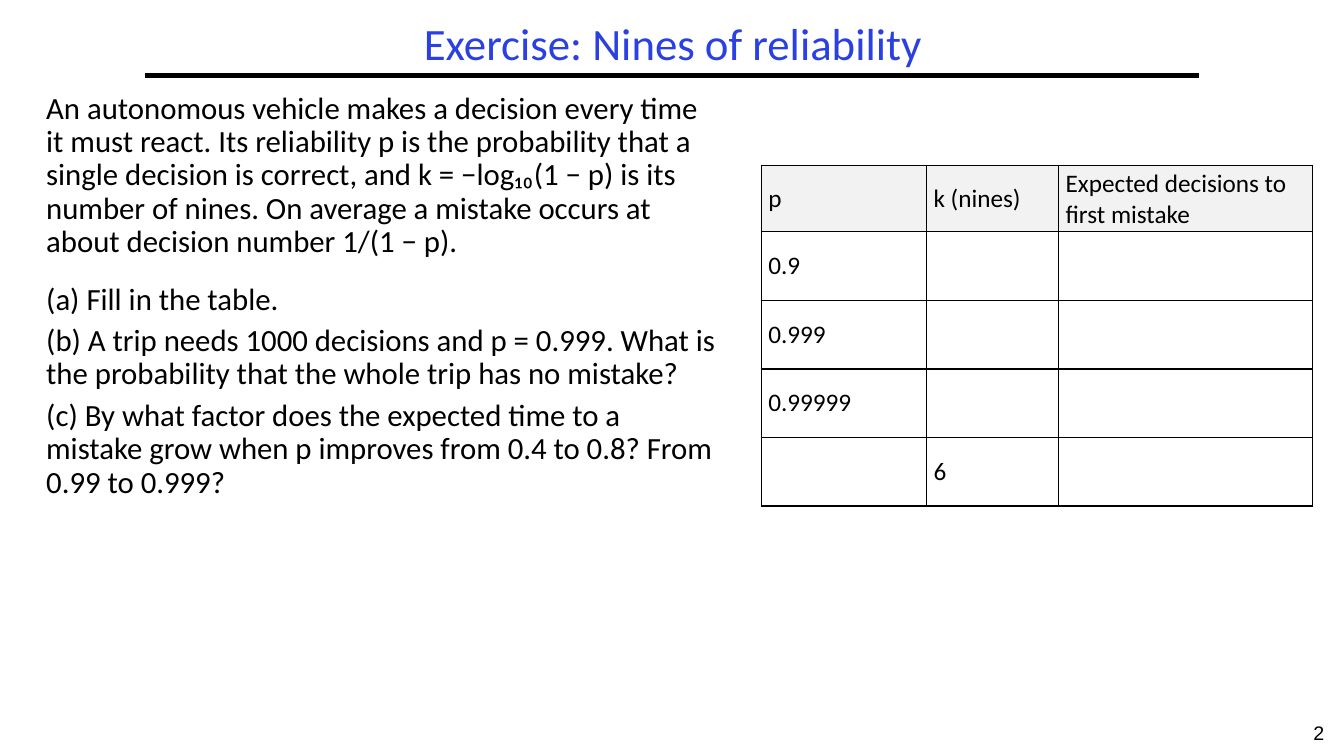
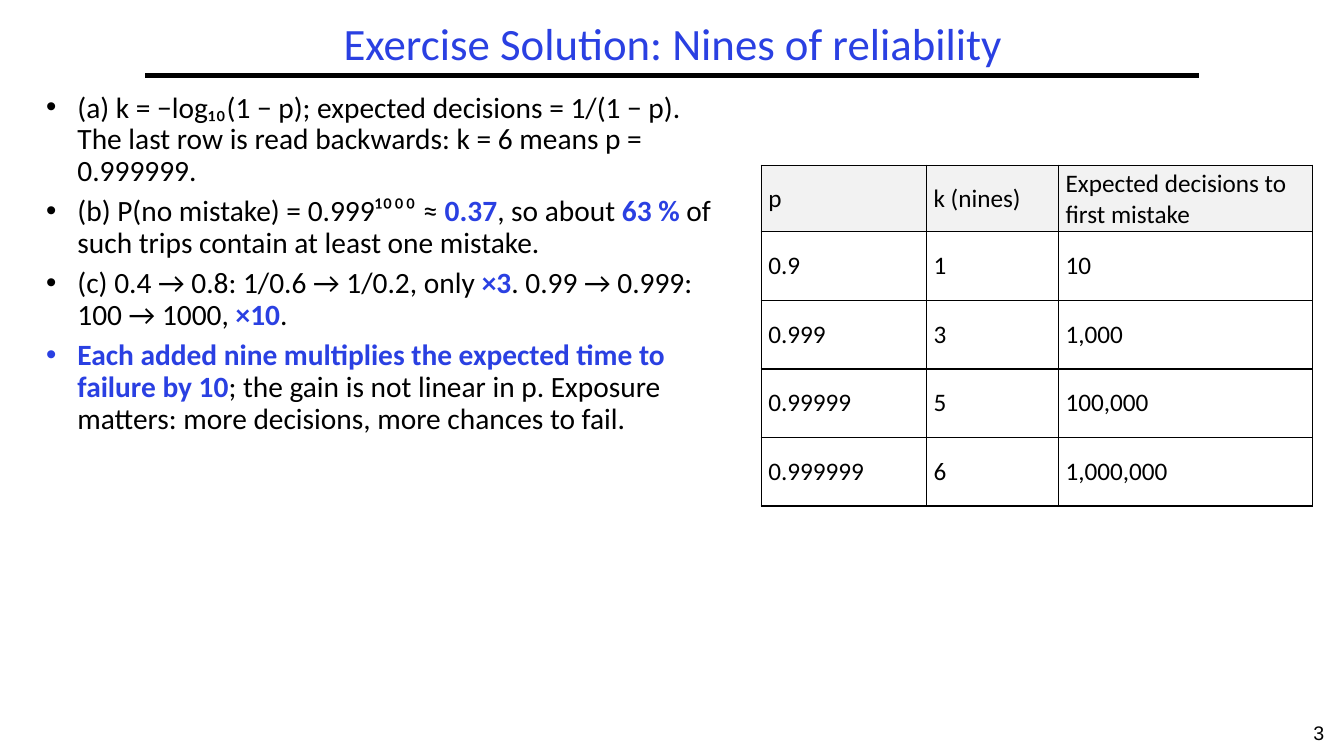
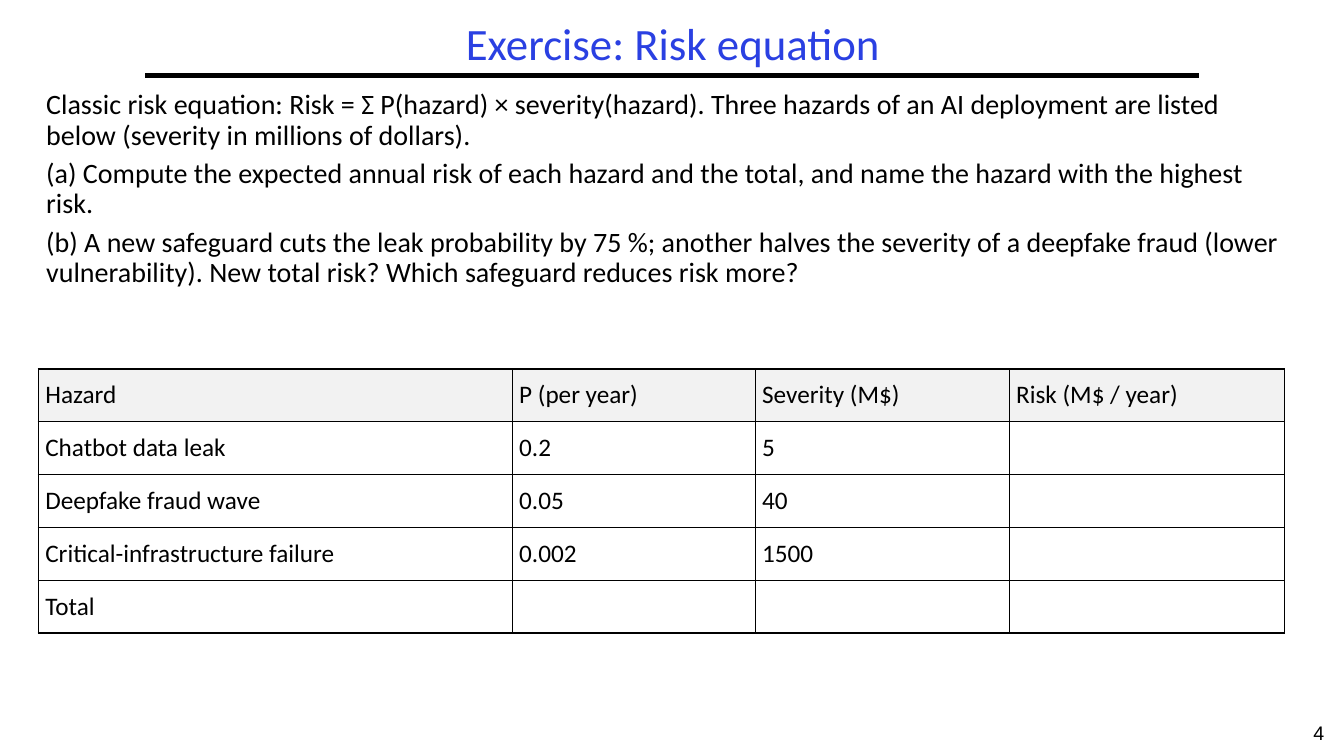
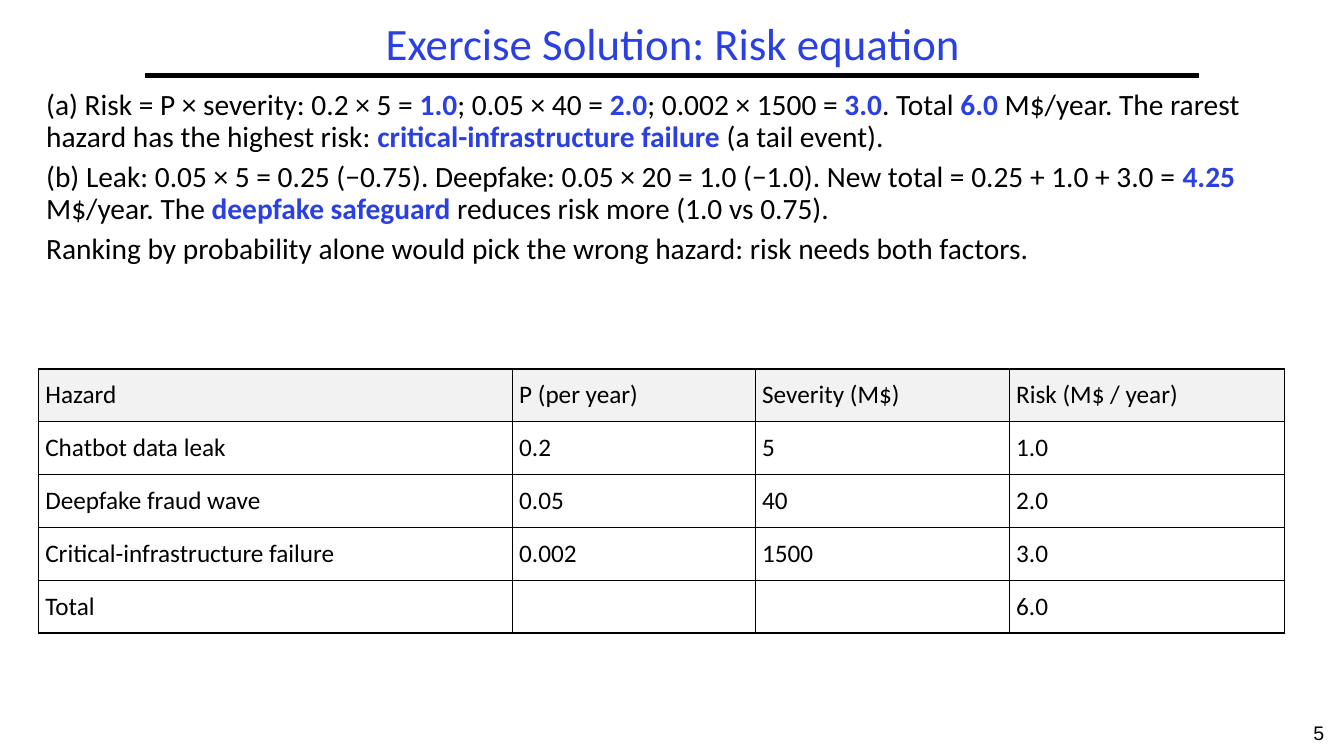
from lxml import etree
from pptx import Presentation
from pptx import util as u
from pptx.dml.color import RGBColor
from pptx.enum import shapes, text
from pptx.oxml import parse_xml
from pptx.oxml.ns import nsdecls, qn

BLACK = RGBColor(0x00, 0x00, 0x00)
BLUE = RGBColor(0x2A, 0x40, 0xE2)
GREY = RGBColor(0xF2, 0xF2, 0xF2)
SANS, HAND, PLAIN = "Calibri", "Comic Neue", "Arial"
MID = text.PP_ALIGN.CENTER


class Deck:
    """Style and current slide; lengths are percent of the slide's size."""

    def __init__(self, first):
        self.prs = Presentation()
        self.prs.slide_width = u.Inches(13.33)
        self.prs.slide_height = u.Inches(7.5)
        self.prs.element.set("firstSlideNum", str(first))
        self.num = first

    def x(self, share):
        return int(self.prs.slide_width * share / 100)

    def y(self, share):
        return int(self.prs.slide_height * share / 100)

    def box(self, left, top, wide, high):
        return self.x(left), self.y(top), self.x(wide), self.y(high)

    def style(self, para, face, size, color=BLACK, bold=False, align=None):
        font = para.font
        font.name, font.size, font.bold = face, u.Pt(size), bold
        font.color.rgb = color
        para.alignment = align

    def page(self, title):
        """Start a slide with its title, rule and number."""
        self.slide = self.prs.slides.add_slide(self.prs.slide_layouts[5])
        head = self.slide.shapes.title
        head.left, head.top, head.width, head.height = self.box(10.8, 2.27, 78.55, 7.73)
        frame = head.text_frame
        frame.text = title
        frame.auto_size = text.MSO_AUTO_SIZE.NONE
        frame.vertical_anchor = text.MSO_ANCHOR.MIDDLE
        para = frame.paragraphs[0]
        self.style(para, SANS, 32, BLUE, align=MID)
        para.line_spacing = 0.9
        self.rule()
        self.count()

    def rule(self):
        line = self.slide.shapes.add_connector(
            shapes.MSO_CONNECTOR.STRAIGHT,
            self.x(10.8), self.y(10), self.x(89.2), self.y(10))
        line.line.color.rgb = BLACK
        line.line.width = u.Pt(3)
        etree.SubElement(line.element.spPr, qn("a:effectLst"))

    def count(self):
        """Slide number as a live field."""
        note = self.slide.shapes.add_textbox(*self.box(96.25, 94.67, 3.75, 5.33))
        para = note.text_frame.paragraphs[0]
        self.style(para, PLAIN, 14, align=MID)
        para._p.append(parse_xml(
            f'<a:fld {nsdecls("a")} id="{{B6F15528-21DE-4FAA-801E-634DDDAF4B2B}}" '
            f'type="slidenum"><a:rPr lang="en-US" sz="1400"><a:latin typeface="{PLAIN}"/>'
            f'</a:rPr><a:t>{self.num}</a:t></a:fld>'))
        self.num += 1

    def body(self, area, size, paras, dots=False, gaps=None):
        """Paragraphs; *stars* mark key words, gaps overrides space before."""
        frame = self.slide.shapes.add_textbox(*self.box(*area)).text_frame
        frame.word_wrap = True
        for i, words in enumerate(paras):
            para = frame.add_paragraph() if i else frame.paragraphs[0]
            if dots:
                props = para._p.get_or_add_pPr()
                props.set("marL", str(u.Inches(0.31)))
                props.set("indent", str(u.Inches(-0.31)))
                etree.SubElement(props, qn("a:buFont"), typeface=PLAIN)
                etree.SubElement(props, qn("a:buChar"), char="•")
            self.style(para, SANS, size)
            para.line_spacing = 0.9
            para.space_before = u.Pt((gaps or {}).get(i, 6) if i else 0)
            for j, part in enumerate(words.split("*")):
                if part:
                    run = para.add_run()
                    run.text = part
                    if j % 2:
                        run.font.bold = True
                        run.font.color.rgb = BLUE

    def table(self, left, top, cols, highs, rows, solved, labels=False):
        """Grid; starred cells are answers, shown only when solved."""
        area = self.box(left, top, sum(cols), sum(highs))
        grid = self.slide.shapes.add_table(len(rows), len(cols), *area).table
        grid.first_row = grid.horz_banding = False
        for col, wide in zip(grid.columns, cols):
            col.width = self.x(wide)
        for row, high in zip(grid.rows, highs):
            row.height = self.y(high)
        for r, row in enumerate(rows):
            for c, words in enumerate(row):
                cell = grid.cell(r, c)
                self.frame(cell, r == 0)
                answer = words.startswith("*")
                label = labels and c == 0
                para = cell.text_frame.paragraphs[0]
                if solved or not answer:
                    cell.text = words.strip("*")
                self.style(para, HAND, 18, BLUE if answer else BLACK,
                           r == 0 or label or answer, None if label else MID)

    def frame(self, cell, head):
        """Cell margins, borders and fill."""
        cell.margin_left = cell.margin_right = u.Inches(0.07)
        cell.margin_top = cell.margin_bottom = u.Inches(0.03)
        cell.vertical_anchor = text.MSO_ANCHOR.MIDDLE
        props = cell._tc.get_or_add_tcPr()
        for side in "LRTB":
            edge = etree.SubElement(props, qn(f"a:ln{side}"), w=str(u.Pt(1)))
            fill = etree.SubElement(edge, qn("a:solidFill"))
            etree.SubElement(fill, qn("a:srgbClr"), val=str(BLACK))
        if head:
            cell.fill.solid()
            cell.fill.fore_color.rgb = GREY
        else:
            cell.fill.background()


# Tables shared by exercise and solution
NINES = [
    ("p", "k (nines)", "Expected decisions to first mistake"),
    ("0.9", "*1*", "*10*"),
    ("0.999", "*3*", "*1,000*"),
    ("0.99999", "*5*", "*100,000*"),
    ("*0.999999*", "6", "*1,000,000*"),
]
RISKS = [
    ("Hazard", "P (per year)", "Severity (M$)", "Risk (M$ / year)"),
    ("Chatbot data leak", "0.2", "5", "*1.0*"),
    ("Deepfake fraud wave", "0.05", "40", "*2.0*"),
    ("Critical-infrastructure failure", "0.002", "1500", "*3.0*"),
    ("Total", "", "", "*6.0*"),
]
HALF = (2.7, 11.6, 51.69, 80.13)
FULL = (2.7, 11.33, 94.37, 37.47)


def nines(deck, solved):
    deck.table(56.64, 21.87, (12.3, 9.83, 18.9), [8.13] + [9.07] * 4, NINES, solved)


def risks(deck, solved):
    deck.table(2.85, 48.8, (35.26, 18.08, 18.9, 20.48), [6.99] * 5, RISKS, solved, labels=True)


def main():
    deck = Deck(first=2)

    # Nines: exercise
    deck.page("Exercise: Nines of reliability")
    deck.body(HALF, 22, [
        "An autonomous vehicle makes a decision every time it must react. Its reliability p "
        "is the probability that a single decision is correct, and k = −log₁₀(1 − p) is its "
        "number of nines. On average a mistake occurs at about decision number 1/(1 − p).",
        "(a) Fill in the table.",
        "(b) A trip needs 1000 decisions and p = 0.999. What is the probability that the "
        "whole trip has no mistake?",
        "(c) By what factor does the expected time to a mistake grow when p improves from "
        "0.4 to 0.8? From 0.99 to 0.999?",
    ], gaps={1: 17.5})
    nines(deck, solved=False)

    # Nines: solution
    deck.page("Exercise Solution: Nines of reliability")
    deck.body(HALF, 21, [
        "(a) k = −log₁₀(1 − p); expected decisions = 1/(1 − p). The last row is read "
        "backwards: k = 6 means p = 0.999999.",
        "(b) P(no mistake) = 0.999¹⁰⁰⁰ ≈ *0.37*, so about *63 %* of such trips contain at "
        "least one mistake.",
        "(c) 0.4 → 0.8: 1/0.6 → 1/0.2, only *×3*. 0.99 → 0.999: 100 → 1000, *×10*.",
        "*Each added nine multiplies the expected time to failure by 10*; the gain is not "
        "linear in p. Exposure matters: more decisions, more chances to fail.",
    ], dots=True)
    nines(deck, solved=True)

    # Risk: exercise
    deck.page("Exercise: Risk equation")
    deck.body(FULL, 20, [
        "Classic risk equation: Risk = Σ P(hazard) × severity(hazard). Three hazards of an "
        "AI deployment are listed below (severity in millions of dollars).",
        "(a) Compute the expected annual risk of each hazard and the total, and name the "
        "hazard with the highest risk.",
        "(b) A new safeguard cuts the leak probability by 75 %; another halves the severity "
        "of a deepfake fraud (lower vulnerability). New total risk? Which safeguard reduces "
        "risk more?",
    ])
    risks(deck, solved=False)

    # Risk: solution
    deck.page("Exercise Solution: Risk equation")
    deck.body(FULL, 21, [
        "(a) Risk = P × severity: 0.2 × 5 = *1.0*; 0.05 × 40 = *2.0*; 0.002 × 1500 = *3.0*. "
        "Total *6.0* M$/year. The rarest hazard has the highest risk: "
        "*critical-infrastructure failure* (a tail event).",
        "(b) Leak: 0.05 × 5 = 0.25 (−0.75). Deepfake: 0.05 × 20 = 1.0 (−1.0). New total = "
        "0.25 + 1.0 + 3.0 = *4.25* M$/year. The *deepfake safeguard* reduces risk more "
        "(1.0 vs 0.75).",
        "Ranking by probability alone would pick the wrong hazard: risk needs both factors.",
    ])
    risks(deck, solved=True)

    deck.prs.save("out.pptx")


if __name__ == "__main__":
    main()
